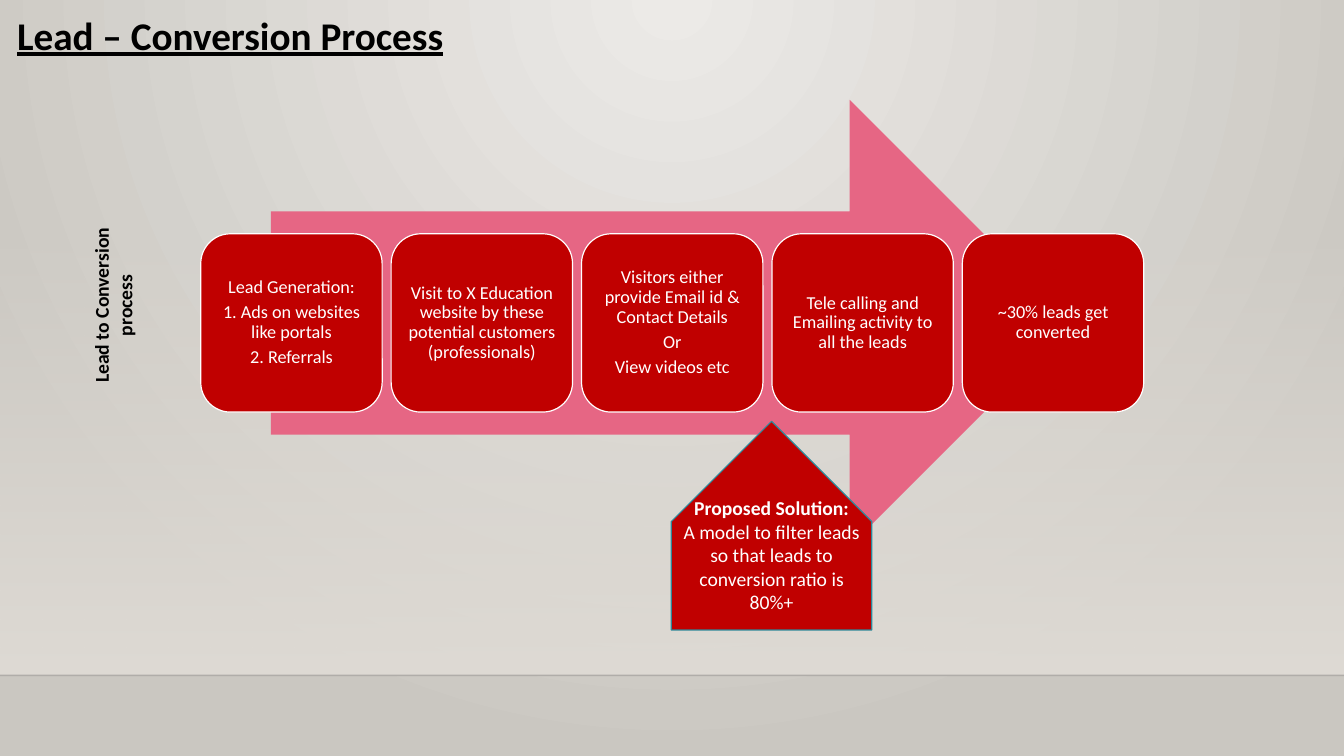
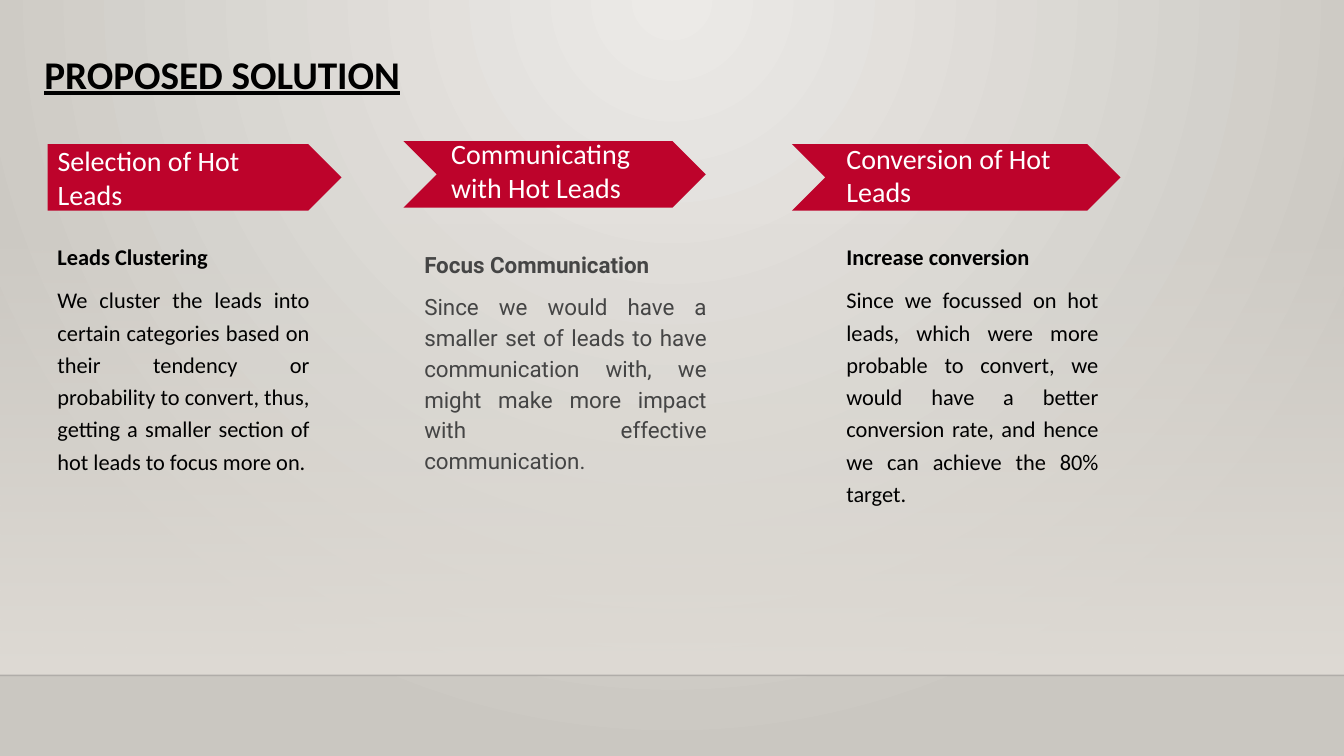
from lxml.etree import SubElement
from pptx import Presentation
from pptx.dml.color import RGBColor
from pptx.enum.shapes import MSO_CONNECTOR, MSO_SHAPE
from pptx.enum.text import MSO_ANCHOR, MSO_AUTO_SIZE, PP_ALIGN
from pptx.oxml import parse_xml
from pptx.oxml.ns import nsdecls, qn
from pptx.util import Pt

WIDTH, HEIGHT = 960, 540
FLOOR = 482.4
BLACK, WHITE, GREY = "000000", "FFFFFF", "454545"
RED, CRIMSON, PINK, TEAL = "C00000", "BD032B", "E66684", "2E8799"
CENTER, JUSTIFY = PP_ALIGN.CENTER, PP_ALIGN.JUSTIFY


def color(value):
    return RGBColor.from_string(value)


def gradient(stops, direction):
    marks = "".join(
        f'<a:gs pos="{position * 1000}"><a:srgbClr val="{value}">'
        f'<a:alpha val="{alpha * 1000}"/></a:srgbClr></a:gs>'
        for position, value, alpha in stops
    )
    return parse_xml(
        f'<a:gradFill {nsdecls("a")} rotWithShape="1"><a:gsLst>{marks}</a:gsLst>{direction}</a:gradFill>'
    )


def replace_solid(parent, fill):
    solid = parent.find(qn("a:solidFill"))
    parent.replace(solid, fill)


def write(frame, text, size=14, shade=BLACK, font="Calibri", bold=False, underline=False,
          align=PP_ALIGN.LEFT, spacing=1.0, before=0, after=0):
    paragraph = frame.add_paragraph() if frame.text else frame.paragraphs[0]
    paragraph.alignment = align
    paragraph.line_spacing = spacing
    paragraph.space_before, paragraph.space_after = Pt(before), Pt(after)
    run = paragraph.add_run()
    run.text = text
    run.font.size, run.font.name = Pt(size), font
    run.font.bold, run.font.underline = bold, underline
    run.font.color.rgb = color(shade)


class Deck:
    def __init__(self):
        self.presentation = Presentation()
        self.presentation.slide_width, self.presentation.slide_height = Pt(WIDTH), Pt(HEIGHT)
        self.layout = self.presentation.slide_layouts[5]
        self.slide = None
        self.style_layout()

    def style_layout(self):
        for placeholder in list(self.layout.placeholders):
            if placeholder.placeholder_format.idx >= 10:
                placeholder.element.getparent().remove(placeholder.element)
        self.layout.background.fill.solid()
        properties = next(self.layout.element.iter(qn("p:bgPr")))
        replace_solid(properties, gradient(
            [(0, "ECEAE7", 100), (100, "CAC7C1", 100)],
            '<a:path path="circle"><a:fillToRect l="43000" t="0" r="43000" b="100000"/></a:path>',
        ))

    def new_slide(self, title, box, inset, spacing=1.0):
        first = self.slide is None
        self.slide = self.presentation.slides.add_slide(self.layout)
        if first:
            self.add_backdrop()
        shape = self.slide.shapes.title
        shape.left, shape.top, shape.width, shape.height = map(Pt, box)
        frame = self.format_frame(shape, inset, MSO_ANCHOR.TOP)
        write(frame, title, size=28, bold=True, underline=True, spacing=spacing)

    def add_backdrop(self):
        band = self.shape(MSO_SHAPE.RECTANGLE, (0, 159, WIDTH, FLOOR - 159), WHITE)
        replace_solid(band.element.spPr, gradient(
            [(0, "DFDBD5", 0), (100, "DFDBD5", 100)], '<a:lin ang="5400000" scaled="0"/>'))
        floor = self.slide.shapes.add_connector(
            MSO_CONNECTOR.STRAIGHT, Pt(0), Pt(FLOOR), Pt(WIDTH), Pt(FLOOR))
        floor.line.width = Pt(1)
        floor.line.color.rgb = color("000001")
        tint = next(floor.element.iter(qn("a:srgbClr")))
        SubElement(tint, qn("a:alpha")).set("val", "20000")
        SubElement(floor.element.spPr, qn("a:effectLst"))
        for position, item in enumerate((band, floor), start=2):
            self.layout.shapes.element.insert(position, item.element)

    def format_frame(self, shape, inset, anchor):
        frame = shape.text_frame
        frame.word_wrap = True
        frame.auto_size = MSO_AUTO_SIZE.NONE
        frame.vertical_anchor = anchor
        horizontal, vertical = inset
        frame.margin_left = frame.margin_right = Pt(horizontal)
        frame.margin_top = frame.margin_bottom = Pt(vertical)
        return frame

    def shape(self, kind, box, fill, line=None, adjustment=None, rotation=0):
        shape = self.slide.shapes.add_shape(kind, *map(Pt, box))
        shape.shadow.inherit = False
        shape.rotation = rotation
        shape.fill.solid()
        shape.fill.fore_color.rgb = color(fill)
        if adjustment is not None:
            shape.adjustments[0] = adjustment
        if line:
            shape.line.color.rgb = color(line)
            shape.line.width = Pt(0.85)
        else:
            shape.line.fill.background()
        return shape

    def text_box(self, box, inset, anchor=MSO_ANCHOR.TOP, rotation=0):
        shape = self.slide.shapes.add_textbox(*map(Pt, box))
        shape.rotation = rotation
        return self.format_frame(shape, inset, anchor)

    def step(self, box, lines):
        shape = self.shape(MSO_SHAPE.ROUNDED_RECTANGLE, box, RED, WHITE, 0.167)
        frame = self.format_frame(shape, (3.6, 3.6), MSO_ANCHOR.MIDDLE)
        for number, line in enumerate(lines):
            write(frame, line, size=13, shade=WHITE, align=CENTER, spacing=0.9,
                  before=4 if number else 0)

    def phase(self, kind, arrow, label, label_box, heading, body, body_box, **style):
        self.shape(kind, arrow, CRIMSON, adjustment=0.5)
        frame = self.text_box(label_box, (7.2, 7.2), MSO_ANCHOR.MIDDLE)
        write(frame, label, size=20, shade=WHITE)
        frame = self.text_box(body_box, (7.2, 7.2))
        write(frame, heading, size=16, bold=True, **style)
        write(frame, body, size=16, align=JUSTIFY, before=8, after=8, **style)


STEPS = [
    ["Lead Generation:", "1. Ads on websites like portals", "2. Referrals"],
    ["Visit to X Education website by these potential customers (professionals)"],
    ["Visitors either provide Email id & Contact Details", "Or", "View videos etc"],
    ["Tele calling and Emailing activity to all the leads"],
    ["~30% leads get converted"],
]


def build_process(deck):
    deck.new_slide("Lead – Conversion Process", (7.2, 5, 557, 35), (5, 2.9))
    deck.shape(MSO_SHAPE.RIGHT_ARROW, (193.5, 71.3, 573, 319), PINK, adjustment=0.5)
    for column, lines in enumerate(STEPS):
        deck.step((143.4 + 136 * column, 167, 129.6, 127.4), lines)
    frame = deck.text_box((31.7, 185, 124.5, 66), (5, 2.9), rotation=270)
    write(frame, "Lead to Conversion process", bold=True, align=CENTER)
    deck.shape(MSO_SHAPE.PENTAGON, (476.6, 303.8, 149, 143.3), RED, TEAL, 0.5, 270)
    frame = deck.text_box((479.5, 342.7, 143.3, 107.3), (7.2, 2.9), MSO_ANCHOR.MIDDLE)
    write(frame, "Proposed Solution:", shade=WHITE, bold=True, align=CENTER)
    write(frame, "A model to filter leads so that leads to conversion ratio is 80%+",
          shade=WHITE, align=CENTER)


def build_solution(deck):
    deck.new_slide("PROPOSED SOLUTION", (24.5, 32.4, 671, 47.5), (7.2, 7.2), 0.9)
    deck.phase(
        MSO_SHAPE.PENTAGON, (34, 103, 210, 47.5),
        "Selection of Hot Leads", (34, 114.5, 178, 24.5),
        "Leads Clustering",
        "We cluster the leads into certain categories based on their tendency or probability "
        "to convert, thus, getting a smaller section of hot leads to focus more on.",
        (34, 162.7, 194.4, 208.8), spacing=1.2)
    deck.phase(
        MSO_SHAPE.CHEVRON, (288.2, 100.8, 216, 47.5),
        "Communicating with Hot Leads", (315.2, 109.5, 178, 24.5),
        "Focus Communication",
        "Since we would have a smaller set of leads to have communication with, we might "
        "make more impact with effective communication.",
        (296, 169.2, 216, 208.8), spacing=1.15, font="Roboto", shade=GREY)
    deck.phase(
        MSO_SHAPE.CHEVRON, (565.7, 103, 234.7, 47.5),
        "Conversion of Hot Leads", (597.5, 112.5, 178, 24.5),
        "Increase conversion",
        "Since we focussed on hot leads, which were more probable to convert, we would have "
        "a better conversion rate, and hence we can achieve the 80% target.",
        (597.5, 162.7, 194.4, 208.8), spacing=1.2)


def main():
    deck = Deck()
    build_process(deck)
    build_solution(deck)
    deck.presentation.save("out.pptx")


if __name__ == "__main__":
    main()
